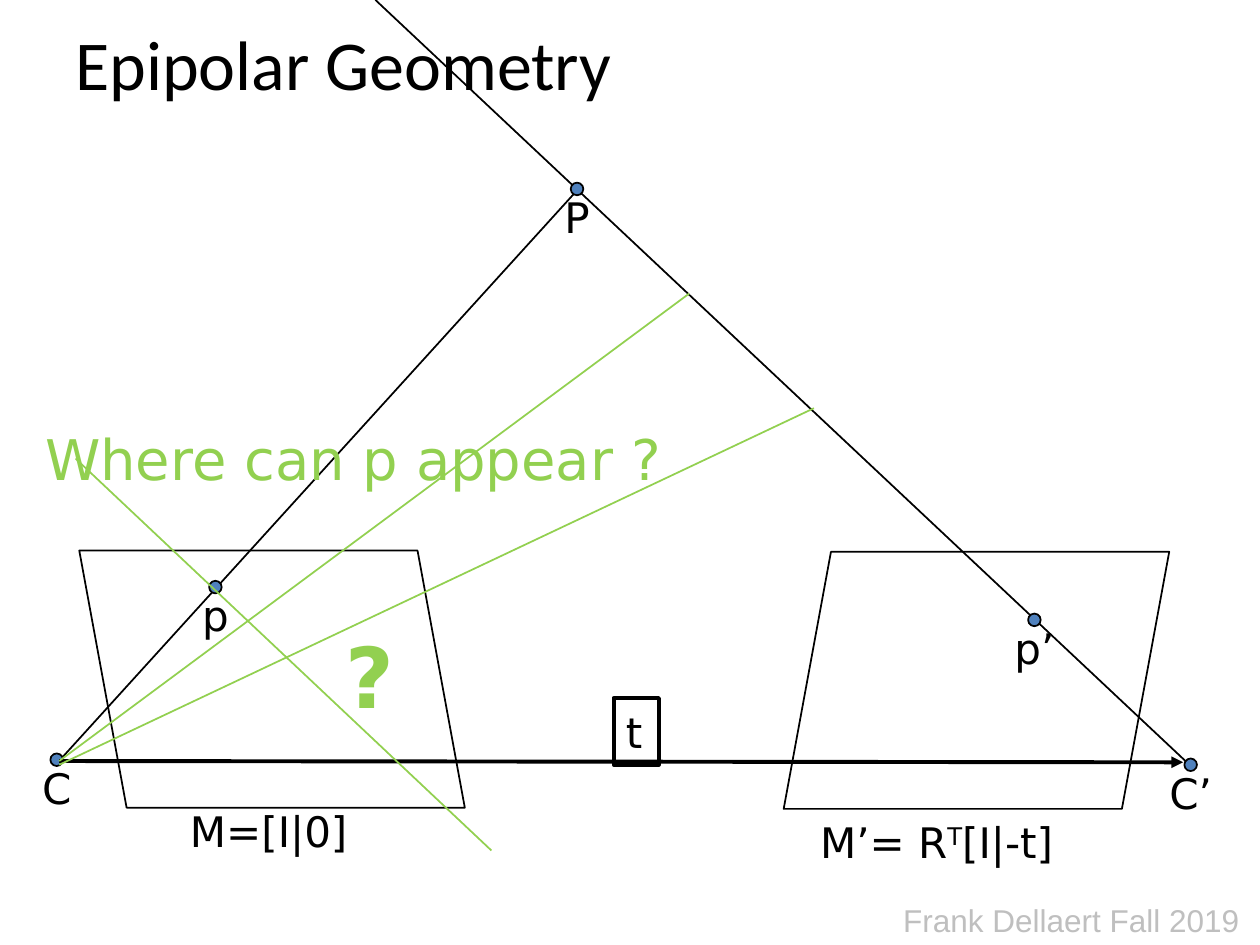
from dataclasses import dataclass

from lxml import etree
from pptx import Presentation
from pptx.dml.color import RGBColor
from pptx.enum.shapes import MSO_CONNECTOR, MSO_SHAPE
from pptx.enum.text import MSO_ANCHOR, PP_ALIGN
from pptx.oxml.ns import qn
from pptx.util import Inches, Pt

STRAIGHT = MSO_CONNECTOR.STRAIGHT
ELLIPSE, RECTANGLE = MSO_SHAPE.OVAL, MSO_SHAPE.RECTANGLE
PARALLELOGRAM = MSO_SHAPE.PARALLELOGRAM
MIDDLE, TOP = MSO_ANCHOR.MIDDLE, MSO_ANCHOR.TOP
LEFT, CENTER = PP_ALIGN.LEFT, PP_ALIGN.CENTER

COLUMNS, ROWS = 100, 75
CELL = Inches(0.1)
DOT = 1
LABEL_W, LABEL_H = 6, 3.9


@dataclass(frozen=True)
class Theme:
    ink: RGBColor = RGBColor(0, 0, 0)
    dot: RGBColor = RGBColor(0x4F, 0x81, 0xBD)
    accent: RGBColor = RGBColor(0x92, 0xD0, 0x50)
    muted: RGBColor = RGBColor(0xBF, 0xBF, 0xBF)
    title_font: str = "Calibri"
    body_font: str = "DejaVu Sans"
    footer_font: str = "Arial"
    title: int = 40
    mark: int = 48
    question: int = 32
    label: int = 24
    footer: int = 18
    thin: float = 1
    thick: float = 2.25


THEME = Theme()


def grid(*cells):
    return [int(c * CELL) for c in cells]


def write(sp, runs, size=THEME.label, color=THEME.ink, font=THEME.body_font,
          bold=False, align=LEFT, anchor=TOP, wrap=False):
    tf = sp.text_frame
    tf.word_wrap = wrap
    tf.vertical_anchor = anchor
    p = tf.paragraphs[0]
    p.alignment = align
    p.font.size = Pt(size)
    p.font.name = font
    p.font.bold = bold
    p.font.color.rgb = color
    for text, baseline in runs:
        r = p.add_run()
        r.text = text
        if baseline:
            r.font._element.set("baseline", str(baseline * 1000))
    return tf


def add_text(s, box, text, **style):
    return add_runs(s, box, [(text, 0)], **style)


def add_runs(s, box, runs, **style):
    return write(s.shapes.add_textbox(*grid(*box)), runs, **style)


def add_outline(s, kind, box, width=THEME.thin, fill=None):
    sp = s.shapes.add_shape(kind, *grid(*box))
    sp.shadow.inherit = False
    if fill is None:
        sp.fill.background()
    else:
        sp.fill.solid()
        sp.fill.fore_color.rgb = fill
    sp.line.color.rgb = THEME.ink
    sp.line.width = Pt(width)
    return sp


def add_image_plane(s, left, top, mirrored=False):
    sp = add_outline(s, PARALLELOGRAM, (left, top, 30.6, 20.4))
    sp.adjustments[0] = 0.184
    if mirrored:
        sp._element.spPr.find(qn("a:xfrm")).set("flipH", "1")


def add_point(s, x, y, name):
    add_outline(s, ELLIPSE, (x - DOT / 2, y - DOT / 2, DOT, DOT), fill=THEME.dot)
    tf = add_text(s, (x - LABEL_W / 2, y + 0.2, LABEL_W, LABEL_H), name, align=CENTER)
    tf.margin_left = tf.margin_right = tf.margin_top = tf.margin_bottom = 0


def add_line(s, start, end, color=THEME.ink, width=THEME.thin, arrow=False):
    c = s.shapes.add_connector(STRAIGHT, *grid(*start, *end))
    c.line.color.rgb = color
    c.line.width = Pt(width)
    if arrow:
        etree.SubElement(c.line._get_or_add_ln(), qn("a:tailEnd"), type="triangle")
    etree.SubElement(c._element.spPr, qn("a:effectLst"))


def main():
    prs = Presentation()
    prs.slide_width, prs.slide_height = grid(COLUMNS, ROWS)
    s = prs.slides.add_slide(prs.slide_layouts[6])

    add_text(s, (70.7, 71, 28.9, 4), "Frank Dellaert Fall 2019",
             size=THEME.footer, color=THEME.muted, font=THEME.footer_font)
    add_text(s, (5, 0, 90, 10), "Epipolar Geometry", size=THEME.title,
             font=THEME.title_font, anchor=MIDDLE, wrap=True)

    add_image_plane(s, 62.2, 43.8)
    add_image_plane(s, 6.3, 43.7, mirrored=True)
    add_line(s, (94.3, 60.6), (29.8, 0))
    add_line(s, (45.9, 15), (4.5, 60.6))
    for x, y, name in ((94.5, 60.7, "C’"), (4.5, 60.3, "C"), (45.8, 15, "P"),
                       (17.1, 46.6, "p"), (82.1, 49.2, "p’")):
        add_point(s, x, y, name)

    add_runs(s, (64.1, 64.3, 22.2, 5), [("M’= R", 0), ("T", 30), ("[I|-t]", 0)])
    add_text(s, (14.1, 63.4, 15.6, 5), "M=[I|0]")
    add_line(s, (4.7, 60.4), (93.9, 60.5), width=THEME.thick, arrow=True)
    write(add_outline(s, RECTANGLE, (48.7, 55.4, 3.6, 5.3), width=THEME.thick),
          [("t", 0)], anchor=MIDDLE)

    add_text(s, (26.4, 49.1, 6.1, 9), "?", size=THEME.mark,
             color=THEME.accent, bold=True)
    add_text(s, (2.6, 33.2, 51.6, 6.4), "Where can p appear ?",
             size=THEME.question, color=THEME.accent)
    for start, end in (((54.7, 23.3), (4.7, 60.4)), ((64.6, 32.4), (4.7, 60.7)),
                       ((39, 67.5), (6, 36.4))):
        add_line(s, start, end, color=THEME.accent)

    prs.save("out.pptx")


if __name__ == "__main__":
    main()
